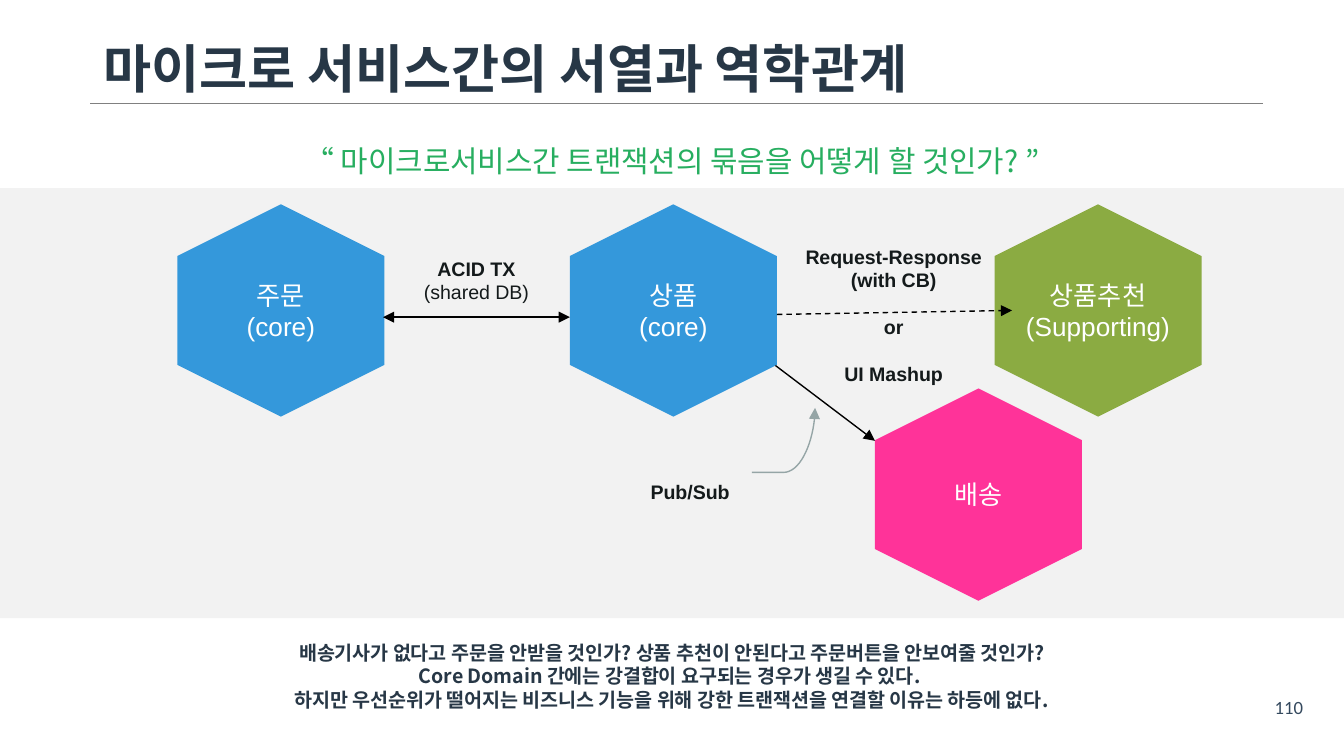
from lxml import etree
from pptx import Presentation
from pptx.dml.color import RGBColor
from pptx.enum.dml import MSO_LINE
from pptx.enum.shapes import MSO_CONNECTOR, MSO_SHAPE
from pptx.enum.text import MSO_ANCHOR, PP_ALIGN
from pptx.oxml.ns import qn
from pptx.util import Inches, Pt

KOREAN = "Noto Sans CJK KR"
DARK, INK, WHITE, BLUE = "273746", "141A1B", "FFFFFF", "3498DB"

# Text formats
TITLE = {"name": "Calibri", "size": Pt(28), "bold": True, "color": DARK}
QUESTION = {"name": KOREAN, "size": Pt(16), "color": "27AE60"}
NOTE = {"name": KOREAN, "size": Pt(10.5), "bold": True, "color": DARK}
STRONG = {"name": "Arial", "size": Pt(10.5), "bold": True, "color": INK}
PLAIN = {**STRONG, "bold": False}
SERVICE = {"name": "Arial", "size": Pt(14), "color": WHITE}
NUMBER = {"name": "Calibri", "size": Pt(10), "color": "34495E"}

MIDDLE = {"vertical_anchor": MSO_ANCHOR.MIDDLE}
NARROW = {"margin_left": Inches(0.15), "margin_right": Inches(0.15),
          "margin_top": Inches(0.07), "margin_bottom": Inches(0.07)}
LEFT = {"alignment": PP_ALIGN.LEFT, "line_spacing": 0.9}
HALF = {"line_spacing": 0.5}
GAP = {"space_before": Pt(12.5)}

# Text boxes: place, frame format, (text, font format, paragraph format)
TEXTS = [
    ((0.67, 0.3, 8.73, 0.47), MIDDLE,
     [("마이크로 서비스간의 서열과 역학관계", TITLE, LEFT)]),
    ((0.64, 1.01, 8.72, 0.37), {},
     [("“ 마이크로서비스간 트랜잭션의 묶음을 어떻게 할 것인가? ”", QUESTION, {})]),
    ((5.88, 1.77, 1.54, 1.15), {},
     [("Request-Response (with CB)", STRONG, {}),
      ("or", STRONG, GAP), ("UI Mashup", STRONG, GAP)]),
    ((4.59, 3.52, 1.09, 0.3), {}, [("Pub/Sub", STRONG, {})]),
    ((2.82, 1.86, 1.45, 0.45), {},
     [("ACID TX", STRONG, {}), ("(shared DB)", PLAIN, {})]),
    ((0.93, 4.72, 8.14, 0.63), {},
     [("배송기사가 없다고 주문을 안받을 것인가? 상품 추천이 안된다고 주문버튼을 안보여줄 것인가?", NOTE, {}),
      ("Core Domain 간에는 강결합이 요구되는 경우가 생길 수 있다. ", NOTE, {}),
      ("하지만 우선순위가 떨어지는 비즈니스 기능을 위해 강한 트랜잭션을 연결할 이유는 하등에 없다.", NOTE, {})]),
    ((9.31, 5.21, 0.56, 0.26), NARROW, [("110", NUMBER, HALF)]),
]

# Services: left, top, fill, lines
HEXAGON_WIDTH, HEXAGON_HEIGHT = 1.58, 1.54
SERVICES = [
    (1.3, 1.54, BLUE, ["주문", "(core)"]),
    (4.22, 1.54, BLUE, ["상품", "(core)"]),
    (7.38, 1.54, "8BAB42", ["상품추천", "(Supporting)"]),
    (6.49, 2.91, "FF3399", ["배송"]),
]

# Straight lines: start, end, colour, width, arrowheads, dashed
LINES = [
    ((0.67, 0.77), (9.4, 0.77), "808080", 1, [], False),
    ((5.77, 2.72), (6.51, 3.28), "000000", 0.75, ["tailEnd"], False),
    ((2.85, 2.36), (4.24, 2.36), "000000", 0.75, ["headEnd", "tailEnd"], False),
    ((5.78, 2.34), (7.53, 2.31), "000000", 0.75, ["tailEnd"], True),
]
# Curve from the Pub/Sub label, turned a quarter to the left
CURVE = ((5.59, 3.04), (6.07, 3.51), "95A5A6", 0.75, ["tailEnd"], False)


def rgb(value):
    return RGBColor.from_string(value)


def inches(values):
    return [Inches(value) for value in values]


def apply(target, formats):
    for name, value in formats.items():
        if name == "color":
            target.color.rgb = rgb(value)
        else:
            setattr(target, name, value)


def add_text(page, place, frame_format, lines):
    frame = page.shapes.add_textbox(*inches(place)).text_frame
    apply(frame, {"word_wrap": True, **frame_format})
    for index, (text, font_format, para_format) in enumerate(lines):
        para = frame.add_paragraph() if index else frame.paragraphs[0]
        apply(para, {"alignment": PP_ALIGN.CENTER, **para_format})
        span = para.add_run()
        span.text = text
        apply(span.font, font_format)
        east_asian = etree.SubElement(span.font._element, qn("a:ea"))
        east_asian.set("typeface", KOREAN)


def add_filled(page, kind, place, fill):
    shape = page.shapes.add_shape(kind, *inches(place))
    shape.shadow.inherit = False
    shape.fill.solid()
    shape.fill.fore_color.rgb = rgb(fill)
    shape.line.fill.background()
    return shape


def add_line(page, kind, start, end, color, width, heads, dashed):
    line = page.shapes.add_connector(kind, *inches(start + end))
    apply(line.line, {"color": color, "width": Pt(width)})
    if dashed:
        line.line.dash_style = MSO_LINE.DASH
    for head in heads:
        etree.SubElement(line.line._get_or_add_ln(), qn("a:" + head)).set("type", "triangle")
    etree.SubElement(line._element.spPr, qn("a:effectLst"))
    return line


def add_curve(page):
    properties = add_line(page, MSO_CONNECTOR.CURVE, *CURVE)._element.spPr
    properties.find(qn("a:xfrm")).set("rot", str(270 * 60000))
    bend = etree.SubElement(properties.find(".//" + qn("a:avLst")), qn("a:gd"))
    bend.set("name", "adj1")
    bend.set("fmla", "val 0")


def main():
    deck = Presentation()
    deck.slide_width = Inches(10)
    deck.slide_height = deck.slide_width * 9 // 16
    page = deck.slides.add_slide(deck.slide_layouts[6])

    # Grey band behind the diagram
    add_filled(page, MSO_SHAPE.RECTANGLE, (0, 1.4, 10, 3.2), "F2F2F2")

    # Upright hexagons with centred names
    for left, top, fill, names in SERVICES:
        place = (left, top, HEXAGON_WIDTH, HEXAGON_HEIGHT)
        hexagon = add_filled(page, MSO_SHAPE.HEXAGON, place, fill)
        hexagon.rotation = 90
        hexagon.adjustments[0] = 0.25
        add_text(page, place, MIDDLE, [(name, SERVICE, {}) for name in names])

    # Relations and wording
    add_curve(page)
    for line in LINES:
        add_line(page, MSO_CONNECTOR.STRAIGHT, *line)
    for text in TEXTS:
        add_text(page, *text)

    deck.save("out.pptx")


if __name__ == "__main__":
    main()
